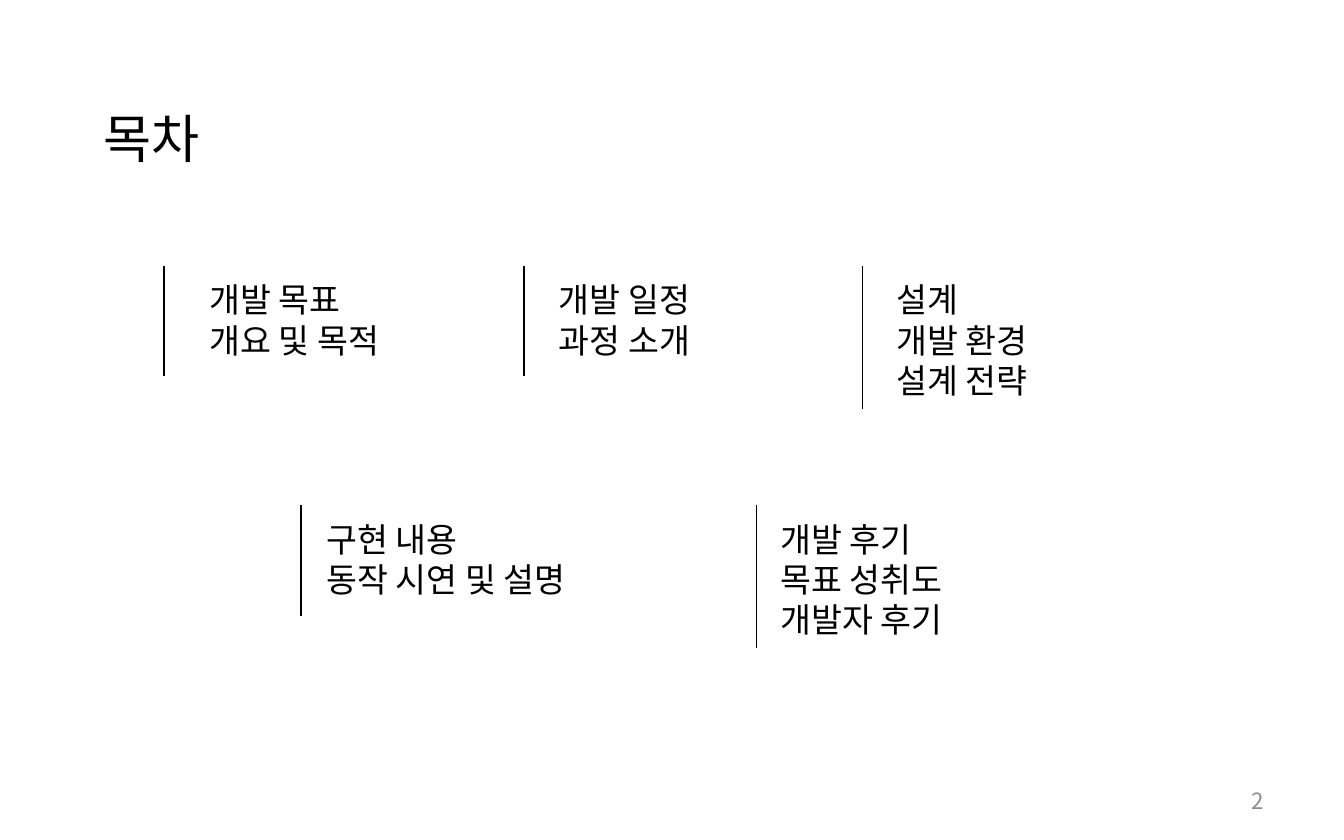
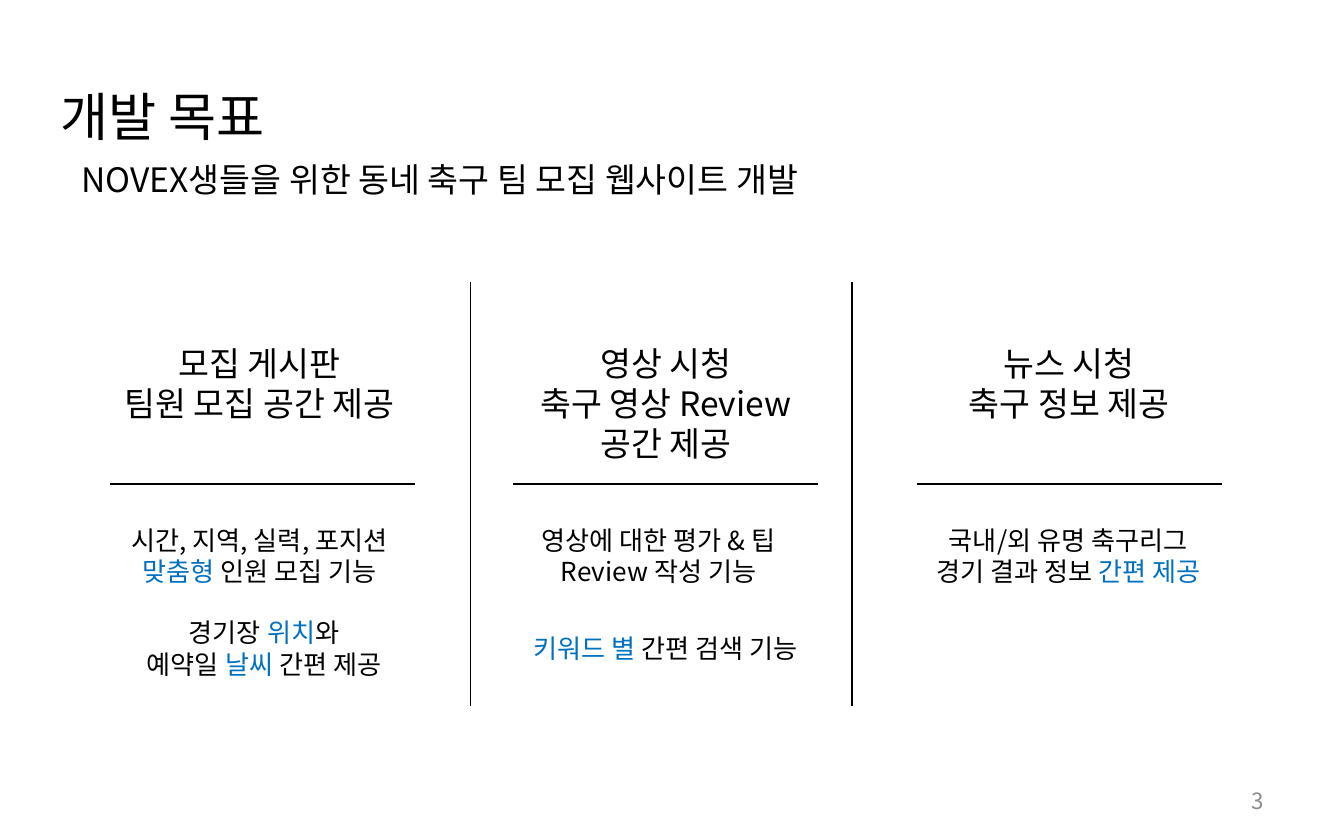
from lxml import etree
from pptx import Presentation
from pptx.dml.color import RGBColor
from pptx.enum.shapes import MSO_CONNECTOR
from pptx.enum.text import MSO_ANCHOR, MSO_AUTO_SIZE, PP_ALIGN
from pptx.oxml.ns import qn
from pptx.util import Inches, Pt

FONT = "Noto Sans CJK KR"
COLORS = {"text": "000000", "accent": "0070C0", "number": "8C8C8C"}
TITLE_SIZE, HEADING_SIZE, DETAIL_SIZE, NUMBER_SIZE = 28, 18, 14, 12
TITLE_ONLY = 5

# Each agenda item: text left, text width, distance of the rule to its left, lines
AGENDA_ROWS = [
    (2.03, [
        (1.46, 1.97, 0.24, "개발 목표\n개요 및 목적"),
        (4.06, 1.97, 0.16, "개발 일정\n과정 소개"),
        (6.57, 1.97, 0.15, "설계\n개발 환경\n설계 전략"),
    ]),
    (3.81, [
        (2.33, 2.2, 0.09, "구현 내용\n동작 시연 및 설명"),
        (5.71, 1.97, 0.08, "개발 후기\n목표 성취도\n개발자 후기"),
    ]),
]

# Each block: offset from the column's left, offset from its top, width, size, lines.
# Words between asterisks take the accent colour.
GOAL_COLUMNS = [
    [
        (-0.07, 0.4, 2.36, HEADING_SIZE, "모집 게시판\n팀원 모집 공간 제공"),
        (-0.07, 1.75, 2.36, DETAIL_SIZE, "시간, 지역, 실력, 포지션\n*맞춤형* 인원 모집 기능"),
        (0, 2.44, 2.29, DETAIL_SIZE, "경기장 *위치*와\n예약일 *날씨* 간편 제공"),
    ],
    [
        (0, 0.4, 2.27, HEADING_SIZE, "영상 시청\n축구 영상 Review 공간 제공"),
        (-0.1, 1.75, 2.36, DETAIL_SIZE, "영상에 대한 평가 & 팁\nReview 작성 기능"),
        (-0.01, 2.56, 2.29, DETAIL_SIZE, "*키워드 별* 간편 검색 기능"),
    ],
    [
        (0.15, 0.4, 1.97, HEADING_SIZE, "뉴스 시청\n축구 정보 제공"),
        (-0.17, 1.75, 2.6, DETAIL_SIZE, "국내/외 유명 축구리그\n경기 결과 정보 *간편 제공*"),
    ],
]


def text_height(size, lines):
    return round(0.1 + lines * size * 1.2 / 72, 2)


def set_all(target, values):
    for name, value in values.items():
        setattr(target, name, value)


def write(frame, text, size, color="text", align=PP_ALIGN.LEFT, **frame_format):
    """Fill a text frame, one paragraph per line, accenting words between asterisks."""
    set_all(frame, {"word_wrap": True, "auto_size": MSO_AUTO_SIZE.SHAPE_TO_FIT_TEXT,
                    "vertical_anchor": MSO_ANCHOR.TOP, **frame_format})
    for index, line in enumerate(text.split("\n")):
        paragraph = frame.add_paragraph() if index else frame.paragraphs[0]
        paragraph.alignment = align
        for part, words in enumerate(line.split("*")):
            if not words:
                continue
            run = paragraph.add_run()
            run.text = words
            set_all(run.font, {"name": FONT, "size": Pt(size)})
            shade = COLORS["accent" if part % 2 else color]
            run.font.color.rgb = RGBColor.from_string(shade)
            east_asian = etree.SubElement(run.font._element, qn("a:ea"))
            east_asian.set("typeface", FONT)


def add_text(slide, left, top, width, text, size, **options):
    height = text_height(size, text.count("\n") + 1)
    box = slide.shapes.add_textbox(*map(Inches, (left, top, width, height)))
    write(box.text_frame, text, size, **options)


def add_rule(slide, left, top, right, bottom):
    rule = slide.shapes.add_connector(
        MSO_CONNECTOR.STRAIGHT, *map(Inches, (left, top, right, bottom)))
    rule.line.width = Pt(0.75)
    rule.line.color.rgb = RGBColor.from_string(COLORS["text"])
    etree.SubElement(rule._element.spPr, qn("a:effectLst"))


def add_titled_slide(prs, title, left, top, number):
    slide = prs.slides.add_slide(prs.slide_layouts[TITLE_ONLY])
    heading = slide.shapes.title
    set_all(heading, {"left": Inches(left), "top": Inches(top), "width": Inches(1.89),
                      "height": Inches(text_height(TITLE_SIZE, 1))})
    write(heading.text_frame, title, TITLE_SIZE)
    page = slide.shapes.add_textbox(*map(Inches, (7.17, 5.79, 2.33, 0.33)))
    write(page.text_frame, str(number), NUMBER_SIZE, "number", PP_ALIGN.RIGHT,
          auto_size=MSO_AUTO_SIZE.NONE, vertical_anchor=MSO_ANCHOR.MIDDLE)
    return slide


def add_agenda_item(slide, left, top, width, rule_gap, text):
    add_text(slide, left, top, width, text, HEADING_SIZE)
    rule_left, rule_top = left - rule_gap, top - 0.05
    rule_height = 0.82 + 0.24 * (text.count("\n") - 1)
    add_rule(slide, rule_left, rule_top, rule_left, rule_top + rule_height)


def add_goal_column(slide, left, top, width, blocks):
    for dx, dy, block_width, size, text in blocks:
        add_text(slide, left + dx, top + dy, block_width, text, size,
                 align=PP_ALIGN.CENTER)
    add_rule(slide, left, top + 1.5, left + width, top + 1.5)


def build_agenda(prs):
    slide = add_titled_slide(prs, "목차", 0.67, 0.74, 2)
    for top, items in AGENDA_ROWS:
        for left, width, rule_gap, text in items:
            add_agenda_item(slide, left, top, width, rule_gap, text)


def build_goals(prs):
    slide = add_titled_slide(prs, "개발 목표", 0.35, 0.58, 3)
    add_text(slide, 0.51, 1.13, 6.14, "NOVEX생들을 위한 동네 축구 팀 모집 웹사이트 개발",
             HEADING_SIZE)
    top, bottom = 2.1, 5.25
    for index, blocks in enumerate(GOAL_COLUMNS):
        add_goal_column(slide, 0.82 + 3 * index, top, 2.27, blocks)
    for divider in (3.5, 6.34):
        add_rule(slide, divider, top, divider, bottom)


def main():
    prs = Presentation()
    set_all(prs, {"slide_width": Inches(10), "slide_height": Inches(6.25)})
    build_agenda(prs)
    build_goals(prs)
    prs.save("out.pptx")


if __name__ == "__main__":
    main()
